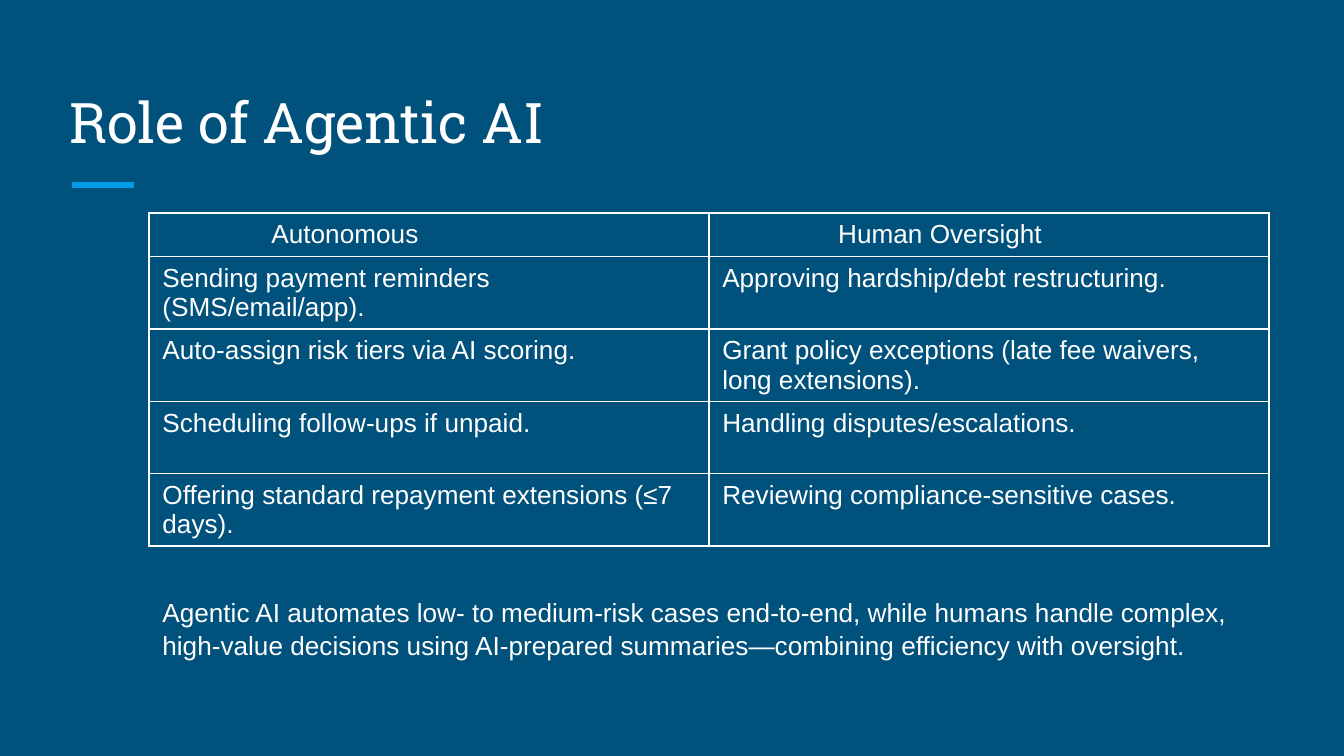
from lxml import etree
from pptx import Presentation
from pptx.dml.color import RGBColor
from pptx.enum.shapes import MSO_CONNECTOR
from pptx.enum.text import MSO_ANCHOR, PP_ALIGN
from pptx.oxml import parse_xml
from pptx.oxml.ns import nsdecls, qn
from pptx.util import Cm, Pt

STRAIGHT = MSO_CONNECTOR.STRAIGHT
BOTTOM, TOP = MSO_ANCHOR.BOTTOM, MSO_ANCHOR.TOP
LEFT = PP_ALIGN.LEFT
NAVY = RGBColor(0x00, 0x51, 0x7C)
BLUE = RGBColor(0x03, 0x9B, 0xE5)
WHITE = RGBColor(0xFF, 0xFF, 0xFF)

TITLE_FONT = {"name": "Roboto Slab", "size": Pt(30), "bold": False}
BODY_FONT = {"name": "Arial", "size": Pt(14), "bold": False}
TITLE_FRAME = {"word_wrap": True, "vertical_anchor": BOTTOM,
               "margin_left": Cm(0.25), "margin_right": Cm(0.25),
               "margin_top": Cm(0.25), "margin_bottom": Cm(0.25)}
CELL_FORMAT = {"vertical_anchor": TOP,
               "margin_left": Cm(0.25), "margin_right": Cm(0.25),
               "margin_top": Cm(0.13), "margin_bottom": Cm(0.13)}
PLAIN_TABLE = {"first_row": False, "horz_banding": False}

TABLE_LEFT = Cm(2.82)
COLUMN_WIDTH = Cm(10.58)
HEADER_HEIGHT = Cm(0.82)
ROW_HEIGHT = Cm(1.36)
HEADER_INDENTS = (Cm(2.06), Cm(2.19))
ROWS = (
    ("Autonomous", "Human Oversight"),
    ("Sending payment reminders (SMS/email/app).",
     "Approving hardship/debt restructuring."),
    ("Auto-assign risk tiers via AI scoring.",
     "Grant policy exceptions (late fee waivers, long extensions)."),
    ("Scheduling follow-ups if unpaid.", "Handling disputes/escalations."),
    ("Offering standard repayment extensions (≤7 days).",
     "Reviewing compliance-sensitive cases."),
)
SUMMARY = ("Agentic AI automates low- to medium-risk cases end-to-end, while "
           "humans handle complex, high-value decisions using AI-prepared "
           "summaries—combining efficiency with oversight.")


def apply_format(target, values):
    """Set each named attribute on the target."""
    for name, value in values.items():
        setattr(target, name, value)


def write_text(tf, text, font):
    """Write one left-aligned white paragraph and return it."""
    p = tf.paragraphs[0]
    p.alignment = LEFT
    r = p.add_run()
    r.text = text
    apply_format(r.font, font)
    r.font.color.rgb = WHITE
    return p


def add_title(s, text):
    """Fill and place the title placeholder."""
    sp = s.shapes.title
    apply_format(sp, {"left": Cm(1.07), "top": Cm(1.27),
                      "width": Cm(23.24), "height": Cm(1.9)})
    apply_format(sp.text_frame, TITLE_FRAME)
    write_text(sp.text_frame, text, TITLE_FONT)


def add_accent(s):
    """Draw the short accent line below the title."""
    line = s.shapes.add_connector(STRAIGHT, Cm(1.36), Cm(3.5), Cm(2.54), Cm(3.5))
    line.line.color.rgb = BLUE
    line.line.width = Pt(3)
    etree.SubElement(line._element.spPr, qn("a:effectLst"))


def add_borders(cell):
    """Give a cell thin white borders on all four sides."""
    tc_pr = cell._tc.get_or_add_tcPr()
    for i, side in enumerate("LRTB"):
        tc_pr.insert(i, parse_xml(
            f'<a:ln{side} {nsdecls("a")} w="{Pt(1)}"><a:solidFill>'
            f'<a:srgbClr val="{WHITE}"/></a:solidFill></a:ln{side}>'))


def add_role_table(s):
    """Add the table of autonomous and human tasks."""
    height = HEADER_HEIGHT + ROW_HEIGHT * (len(ROWS) - 1)
    table = s.shapes.add_table(len(ROWS), 2, TABLE_LEFT, Cm(4.03),
                               COLUMN_WIDTH * 2, height).table
    apply_format(table, PLAIN_TABLE)
    for column in table.columns:
        column.width = COLUMN_WIDTH
    for i, texts in enumerate(ROWS):
        table.rows[i].height = ROW_HEIGHT if i else HEADER_HEIGHT
        for j, text in enumerate(texts):
            cell = table.cell(i, j)
            apply_format(cell, CELL_FORMAT)
            cell.fill.background()
            add_borders(cell)
            p = write_text(cell.text_frame, text, BODY_FONT)
            if i == 0:
                p._p.get_or_add_pPr().set("marL", str(HEADER_INDENTS[j]))


def add_summary(s):
    """Add the closing statement below the table."""
    sp = s.shapes.add_textbox(TABLE_LEFT, Cm(11.1), Cm(21.49), Cm(1.45))
    sp.text_frame.word_wrap = True
    write_text(sp.text_frame, SUMMARY, BODY_FONT).line_spacing = 1.07


def main():
    """Build and save the slide."""
    prs = Presentation()
    apply_format(prs, {"slide_width": Cm(25.4), "slide_height": Cm(14.29)})
    s = prs.slides.add_slide(prs.slide_layouts[5])
    s.background.fill.solid()
    s.background.fill.fore_color.rgb = NAVY
    add_accent(s)
    add_title(s, "Role of Agentic AI")
    add_role_table(s)
    add_summary(s)
    prs.save("out.pptx")


if __name__ == "__main__":
    main()
